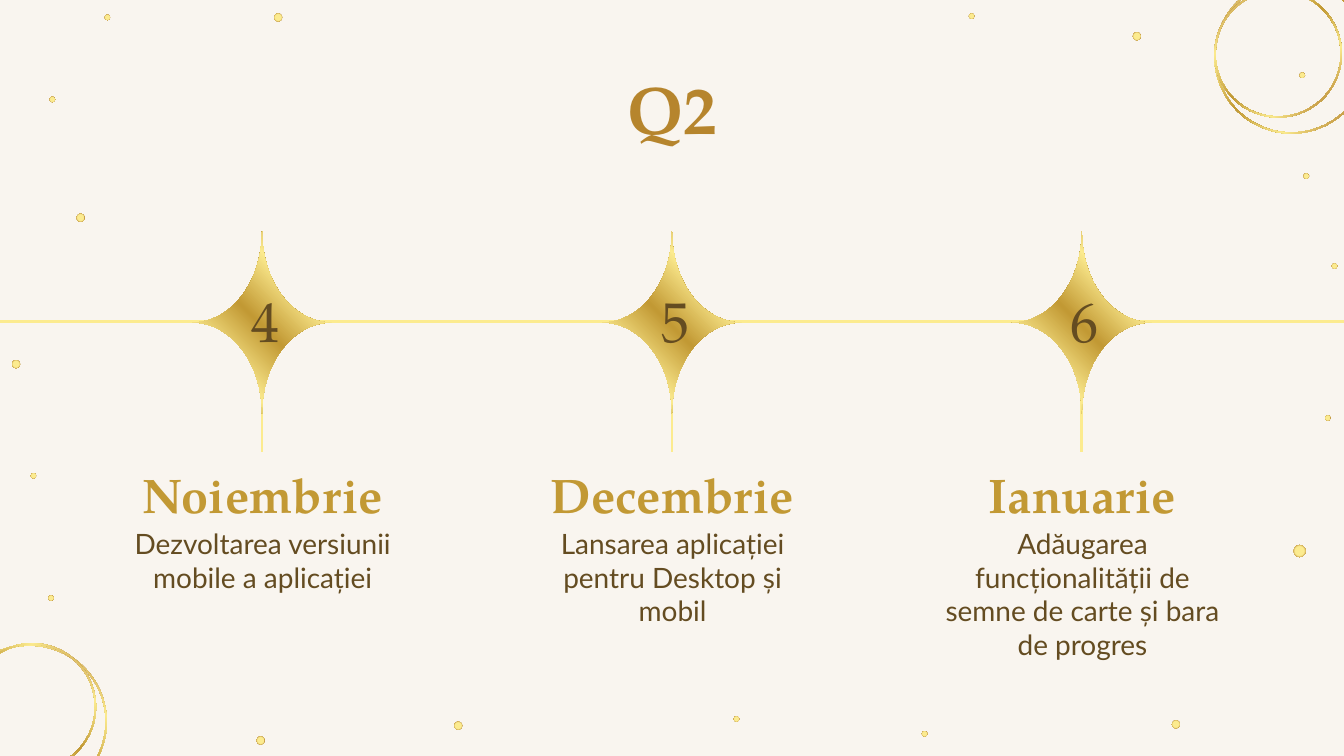
from lxml import etree
from pptx import Presentation
from pptx.dml.color import RGBColor
from pptx.enum.shapes import MSO_CONNECTOR as Connector, MSO_SHAPE as Shape
from pptx.enum.text import MSO_ANCHOR as Anchor, PP_ALIGN as Align
from pptx.oxml.ns import qn
from pptx.util import Inches, Pt

COLORS = {
    "background": "F9F5EF", "title": "B6852D", "heading": "C29934", "body": "644C21",
    "light": "FCEB8F", "gold": "C29934", "tan": "C99F4A", "bronze": "B88532",
}
DOT_STOPS = [(0, "light"), (21, "light"), (52, "light"), (79, "tan"), (100, "gold")]
RING_STOPS = [(0, "bronze"), (9, "tan"), (25, "light"), (49, "gold"),
              (72, "light"), (86, "tan"), (100, "bronze")]
STAR_STOPS = [(0, "bronze"), (9, "gold")] + RING_STOPS[2:]

SERIF, SANS = "TeX Gyre Pagella", "Lato"
TITLE = {"size": Pt(36), "name": SERIF, "bold": True}
HEADING = {"size": Pt(26), "name": SERIF, "bold": True}
BODY = {"size": Pt(15), "name": SANS}
NUMBER = {"size": Pt(30), "name": SERIF}

DOTS = {
    0.04: [(0.39, 0.74), (9.72, 1.31), (0.25, 3.54), (0.38, 4.45), (0.8, 0.13),
           (5.48, 5.35), (7.23, 0.12), (9.69, 0.56), (9.93, 1.98), (9.88, 3.11),
           (6.88, 5.46)],
    0.06: [(0.12, 2.71), (2.07, 0.13), (0.6, 1.62), (1.94, 5.51), (3.41, 5.4),
           (8.75, 5.39), (8.46, 0.27)],
    0.09: [(9.67, 4.1)],
}
RINGS = [(9.61, 0.42, 1.15, 0), (9.51, 0.4, 0.95, 0),
         (0.22, 5.37, 1.15, 87.3), (0.24, 5.26, 0.95, 87.3)]
MILESTONES = [
    ("4", "Noiembrie", "Dezvoltarea versiunii mobile a aplicației"),
    ("5", "Decembrie", "Lansarea aplicației pentru Desktop și mobil"),
    ("6", "Ianuarie", "Adăugarea funcționalității de semne de carte și bara de progres"),
]
FIRST_X, STEP_X, AXIS_Y = 1.95, 3.05, 2.39


def fill_gradient(shape, stops, angle=None):
    shape.shadow.inherit = False
    shape.line.fill.background()
    shape.fill.gradient()
    gradient = shape._element.spPr.find(qn("a:gradFill"))
    for child in list(gradient):
        gradient.remove(child)
    stop_list = etree.SubElement(gradient, qn("a:gsLst"))
    for position, color in stops:
        stop = etree.SubElement(stop_list, qn("a:gs"), pos=str(position * 1000))
        etree.SubElement(stop, qn("a:srgbClr"), val=COLORS[color])
    if angle is None:
        circle = etree.SubElement(gradient, qn("a:path"), path="circle")
        sides = dict.fromkeys("ltrb", "50000")
        etree.SubElement(circle, qn("a:fillToRect"), **sides)
    else:
        etree.SubElement(gradient, qn("a:lin"), ang=str(angle * 60000), scaled="0")


def add_round(slide, kind, x, y, diameter):
    return slide.shapes.add_shape(kind, Inches(x - diameter / 2), Inches(y - diameter / 2),
                                  Inches(diameter), Inches(diameter))


def add_dot(slide, x, y, diameter):
    fill_gradient(add_round(slide, Shape.OVAL, x, y, diameter), DOT_STOPS)


def add_ring(slide, x, y, diameter, rotation):
    shape = add_round(slide, Shape.DONUT, x, y, diameter)
    shape.adjustments[0] = 0.01 / diameter
    shape.rotation = rotation
    fill_gradient(shape, RING_STOPS, 45)


def add_line(slide, x1, y1, x2, y2):
    line = slide.shapes.add_connector(Connector.STRAIGHT, Inches(x1), Inches(y1),
                                      Inches(x2), Inches(y2))
    line.line.color.rgb = RGBColor.from_string(COLORS["light"])
    line.line.width = Pt(1.5)
    etree.SubElement(line._element.spPr, qn("a:effectLst"))


def star_quarter(steps=16):
    points = []
    for step in range(steps + 1):
        t = step / steps
        x = 3 * (1 - t) * t ** 2 * 0.23 + t ** 3 * 0.52
        y = (1 - t) ** 3 * 0.68 + 3 * (1 - t) ** 2 * t * 0.3
        points.append((x, y))
    return points


def add_star(slide, x, y):
    quarter = star_quarter()
    right = quarter + [(dx, -dy) for dx, dy in reversed(quarter)]
    outline = right + [(-dx, dy) for dx, dy in reversed(right)]
    points = [(Inches(x + dx), Inches(y + dy)) for dx, dy in outline]
    builder = slide.shapes.build_freeform(*points[0])
    builder.add_line_segments(points[1:], close=True)
    fill_gradient(builder.convert_to_shape(), STAR_STOPS, 315)


def add_text(slide, x, y, width, height, text, font, color, anchor=Anchor.TOP):
    box = slide.shapes.add_textbox(Inches(x), Inches(y), Inches(width), Inches(height))
    frame = box.text_frame
    frame.word_wrap = True
    frame.vertical_anchor = anchor
    for side in ("left", "right", "top", "bottom"):
        setattr(frame, f"margin_{side}", Inches(0.1))
    paragraph = frame.paragraphs[0]
    paragraph.alignment = Align.CENTER
    run = paragraph.add_run()
    run.text = text
    for name, value in font.items():
        setattr(run.font, name, value)
    run.font.color.rgb = RGBColor.from_string(COLORS[color])


def add_milestone(slide, x, number, month, goal):
    add_line(slide, x, 2.57, x, 3.36)
    add_star(slide, x, AXIS_Y + 0.01)
    add_text(slide, x - 1.16, 3.36, 2.33, 0.54, month, HEADING, "heading")
    add_text(slide, x - 1.16, 3.82, 2.33, 0.97, goal, BODY, "body")
    add_text(slide, x - 0.18, 2.2, 0.38, 0.37, number, NUMBER, "body", Anchor.MIDDLE)


def main():
    presentation = Presentation()
    presentation.slide_width = Inches(10)
    presentation.slide_height = Inches(10 * 9 / 16)
    slide = presentation.slides.add_slide(presentation.slide_layouts[6])
    background = slide.background.fill
    background.solid()
    background.fore_color.rgb = RGBColor.from_string(COLORS["background"])
    for diameter, centers in DOTS.items():
        for x, y in centers:
            add_dot(slide, x, y, diameter)
    for ring in RINGS:
        add_ring(slide, *ring)
    add_text(slide, 0.78, 0.4, 8.44, 0.63, "Q2", TITLE, "title")
    add_line(slide, -1.14, AXIS_Y, 10.05, AXIS_Y)
    for index, milestone in enumerate(MILESTONES):
        add_milestone(slide, FIRST_X + index * STEP_X, *milestone)
    presentation.save("out.pptx")


if __name__ == "__main__":
    main()
